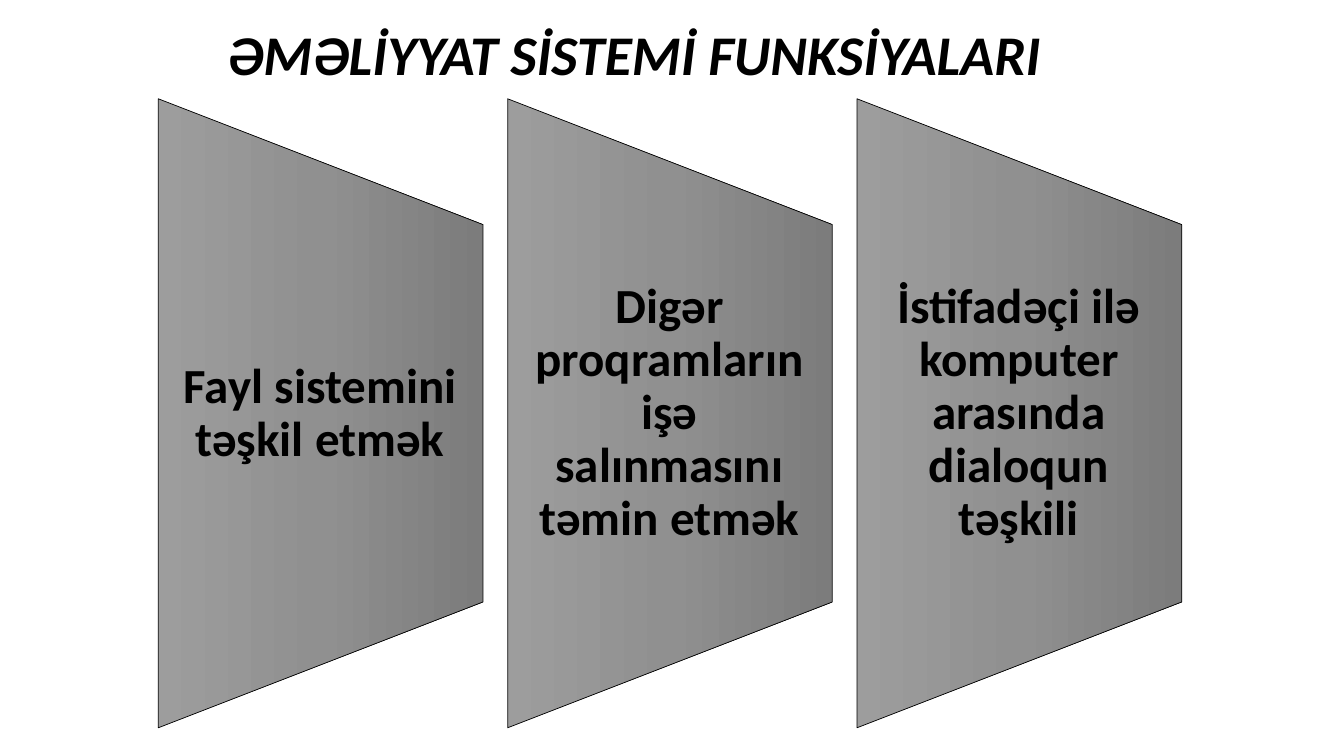
import copy
import pptx
import pptx.util
import pptx.dml.color
import pptx.enum.shapes
import pptx.enum.text
from pptx.util import Inches

HUES = {"ink": "000000", "light": "9D9D9D", "mid": "909090", "dark": "7C7C7C"}
ALIGN = pptx.enum.text.PP_ALIGN


def write(frame, text, size, align, italic=False):
    frame.word_wrap = True
    frame.auto_size = pptx.enum.text.MSO_AUTO_SIZE.NONE
    frame.vertical_anchor = pptx.enum.text.MSO_ANCHOR.MIDDLE
    para = frame.paragraphs[0]
    para.alignment = align
    para.line_spacing = 0.9
    run = para.add_run()
    run.text = text
    run.font.name = "Calibri"
    run.font.size = pptx.util.Pt(size)
    run.font.bold = True
    run.font.italic = italic
    run.font.color.rgb = pptx.dml.color.RGBColor.from_string(HUES["ink"])


deck = pptx.Presentation()
deck.slide_width = Inches(13.33)
deck.slide_height = Inches(7.5)
slide = deck.slides.add_slide(deck.slide_layouts[5])

title = slide.shapes.title
title.left, title.top = Inches(2.15), Inches(0.16)
title.width, title.height = Inches(8.89), Inches(0.82)
write(title.text_frame, "ƏMƏLİYYAT SİSTEMİ FUNKSİYALARI", size=40, align=ALIGN.LEFT, italic=True)

tasks = [
    "Fayl sistemini təşkil etmək",
    "Digər proqramların işə salınmasını təmin etmək",
    "İstifadəçi ilə komputer arasında dialoqun təşkili",
]
width, height = 3.22, 6.24
first, step, middle = 1.57, 3.465, 4.1

for i, task in enumerate(tasks):
    left = first + i * step
    panel = slide.shapes.add_shape(
        pptx.enum.shapes.MSO_SHAPE.FLOWCHART_MANUAL_OPERATION,
        Inches(left + (width - height) / 2), Inches(middle - width / 2),
        Inches(height), Inches(width))
    panel.rotation = 270
    panel.shadow.inherit = False
    panel.fill.gradient()
    panel.fill.gradient_angle = 270
    stops = panel.fill.gradient_stops
    start = stops[0]._gs
    start.addnext(copy.deepcopy(start))
    stops = panel.fill.gradient_stops
    for stop, spot, hue in zip(stops, (0, 0.5, 1), ("light", "mid", "dark")):
        stop.position = spot
        stop.color.rgb = pptx.dml.color.RGBColor.from_string(HUES[hue])
    panel.line.color.rgb = pptx.dml.color.RGBColor.from_string(HUES["ink"])
    panel.line.width = pptx.util.Pt(0.5)

    label = slide.shapes.add_textbox(Inches(left), Inches(2.23), Inches(width), Inches(3.75))
    frame = label.text_frame
    frame.margin_left, frame.margin_right = Inches(0.24), Inches(0.25)
    frame.margin_top = frame.margin_bottom = 0
    write(frame, task, size=35, align=ALIGN.CENTER)

deck.save("out.pptx")
